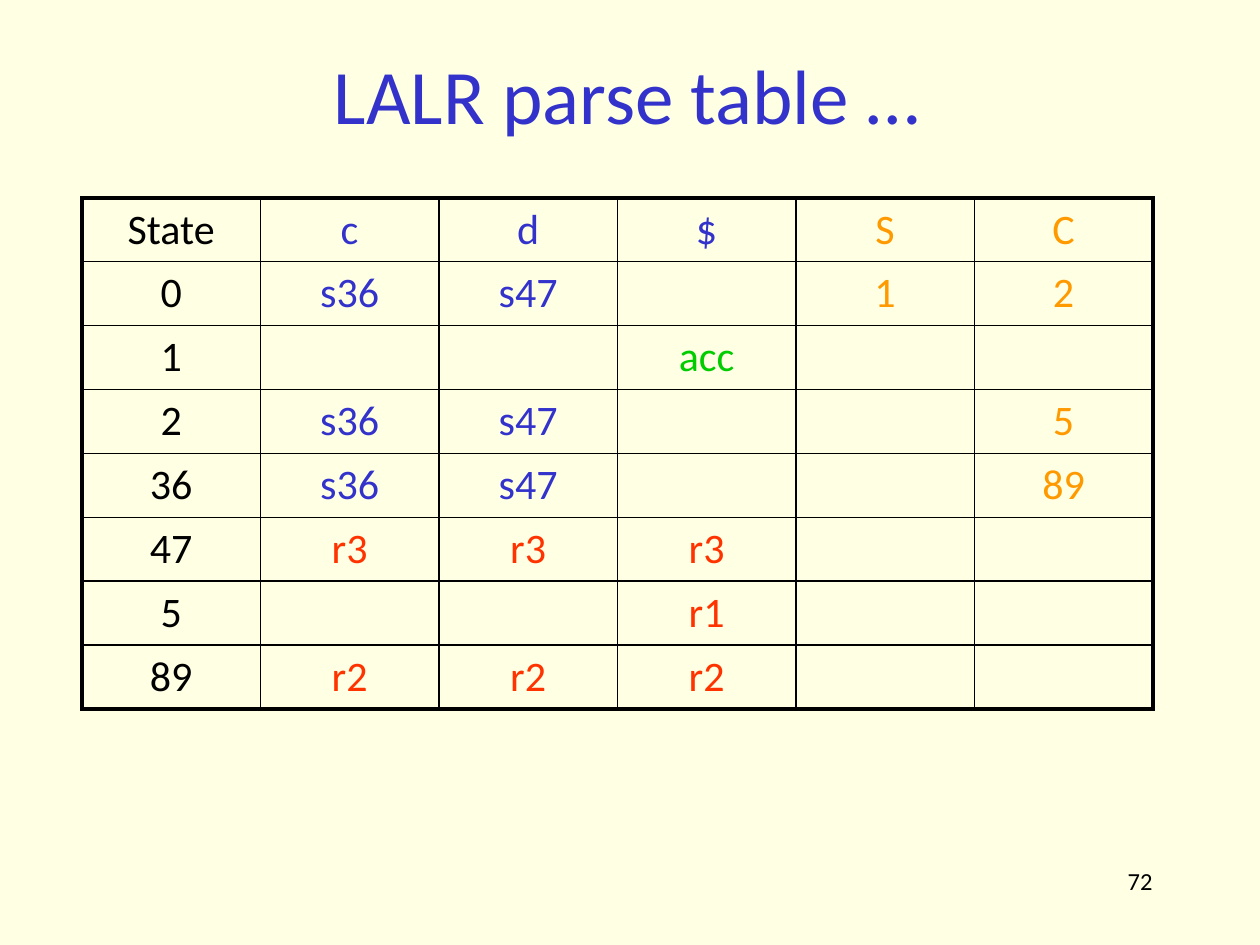
"""Build a slide with an LALR parse table."""
from lxml import etree
from pptx import Presentation
from pptx.dml.color import RGBColor
from pptx.enum.text import MSO_ANCHOR, PP_ALIGN
from pptx.util import Inches, Pt

LEFT, MID, TOP = PP_ALIGN.LEFT, PP_ALIGN.CENTER, MSO_ANCHOR.TOP
NS = "http://schemas.openxmlformats.org/drawingml/2006/main"
BLACK, BLUE, GOLD, RED, GREEN = "000000", "3333CC", "FF9900", "FF3300", "00CC00"


def write(frame, text, size, color, align, space, inset=0):
    """Put one styled run into a frame."""
    frame.margin_left = frame.margin_right = frame.margin_bottom = 0
    frame.margin_top = Inches(inset)
    frame.vertical_anchor = TOP
    para = frame.paragraphs[0]
    para.alignment = align
    para.space_before = Pt(space)
    run = para.add_run()
    run.text = text
    run.font.name = "Calibri"
    run.font.size = Pt(size)
    run.font.color.rgb = RGBColor.from_string(color)


def edge(cell, side, width):
    """Draw one border of a cell."""
    line = etree.SubElement(cell._tc.get_or_add_tcPr(), f"{{{NS}}}ln{side}", w=str(Pt(width)))
    fill = etree.SubElement(line, f"{{{NS}}}solidFill")
    etree.SubElement(fill, f"{{{NS}}}srgbClr", val=BLACK)


deck = Presentation()
deck.slide_width, deck.slide_height = Inches(10), Inches(7.5)
slide = deck.slides.add_slide(deck.slide_layouts[5])
back = slide.background.fill
back.solid()
back.fore_color.rgb = RGBColor.from_string("FFFFE4")

title = slide.shapes.title
title.left, title.top = Inches(2.65), Inches(0.37)
title.width, title.height = Inches(4.7), Inches(0.76)
title.text_frame.word_wrap = False
write(title.text_frame, "LALR parse table …", 44, BLUE, LEFT, 1.1, 0.01)

rows = [
    ["State", "c", "d", "$", "S", "C"],
    ["0", "s36", "s47", "", "1", "2"],
    ["1", "", "", "acc", "", ""],
    ["2", "s36", "s47", "", "", "5"],
    ["36", "s36", "s47", "", "", "89"],
    ["47", "r3", "r3", "r3", "", ""],
    ["5", "", "", "r1", "", ""],
    ["89", "r2", "r2", "r2", "", ""],
]
hues = [BLACK, BLUE, BLUE, BLUE, GOLD, GOLD]
high, wide = len(rows), len(hues)
grid = slide.shapes.add_table(
    high, wide, Inches(0.65), Inches(1.57), Inches(8.5), Inches(0.5 * high)).table
grid.first_row = grid.horz_banding = False
for r, row in enumerate(rows):
    for c, text in enumerate(row):
        cell = grid.cell(r, c)
        rims = {"L": c == 0, "R": c == wide - 1, "T": r == 0, "B": r == high - 1}
        for side, rim in rims.items():
            edge(cell, side, 2.25 if rim else 1)
        cell.fill.background()
        if text:
            hue = GREEN if text == "acc" else RED if text[0] == "r" else hues[c]
            write(cell.text_frame, text, 24, hue, MID, 2, 0.03)

page = slide.shapes.add_textbox(Inches(8.91), Inches(6.91), Inches(0.3), Inches(0.22))
write(page.text_frame, "72", 14, BLACK, LEFT, 0)
para = page.text_frame.paragraphs[0]
para.line_spacing = Pt(14.3)
para._p.get_or_add_pPr().set("marL", str(Inches(0.04)))

deck.save("out.pptx")
